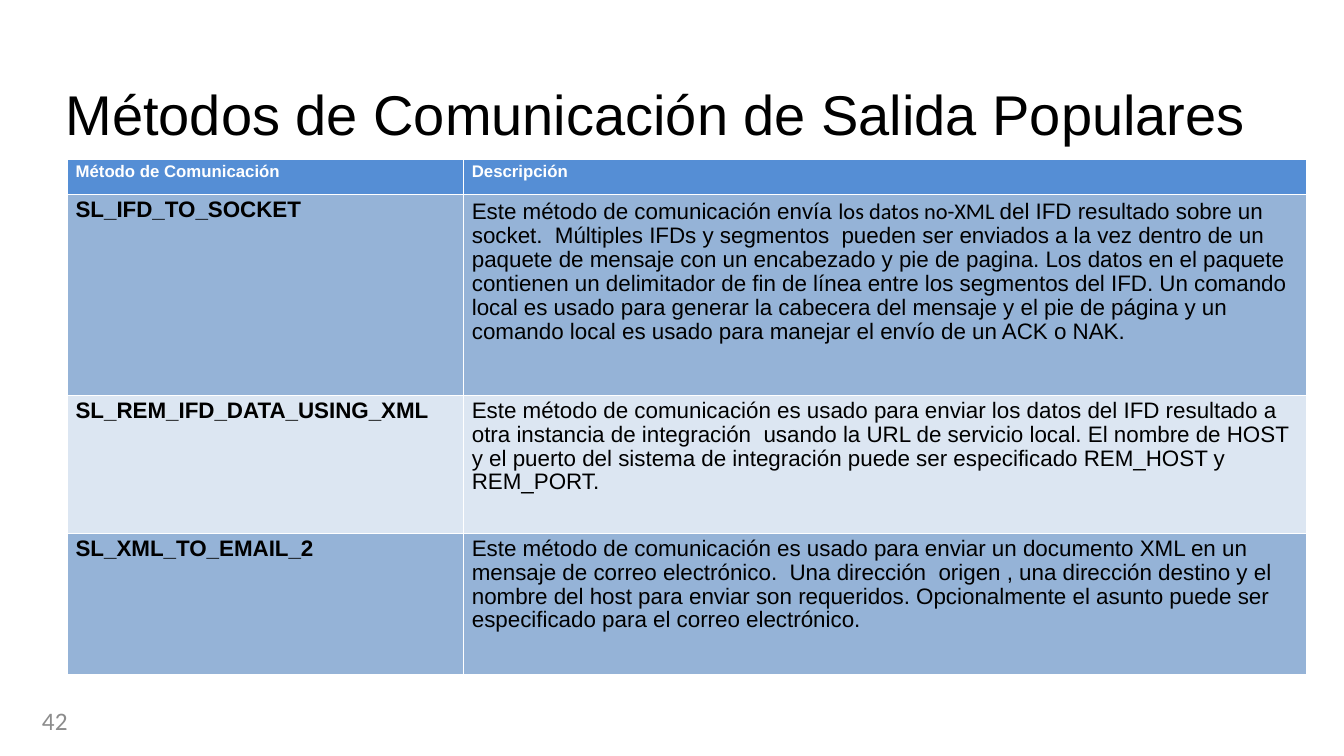
from pptx import Presentation
from pptx.dml.color import RGBColor
from pptx.enum.text import MSO_ANCHOR, PP_ALIGN
from pptx.util import Inches, Pt

BLACK = RGBColor(0x00, 0x00, 0x00)
WHITE = RGBColor(0xFF, 0xFF, 0xFF)
GRAY = RGBColor(0x8C, 0x8C, 0x8C)
HEADER_BLUE = RGBColor(0x55, 0x8E, 0xD5)
BAND_BLUE = RGBColor(0x95, 0xB3, 0xD7)
PALE_BLUE = RGBColor(0xDC, 0xE6, 0xF2)

TITLE = "Métodos de Comunicación de Salida Populares"
HEADERS = ("Método de Comunicación", "Descripción")
CALIBRI_PHRASE = "los datos no-XML "
METHODS = [
    ("SL_IFD_TO_SOCKET",
     ("Este método de comunicación envía ",
      CALIBRI_PHRASE,
      "del IFD resultado sobre un socket.  Múltiples IFDs y segmentos  pueden ser "
      "enviados a la vez dentro de un paquete de mensaje con un encabezado y pie de "
      "pagina. Los datos en el paquete contienen un delimitador de fin de línea entre "
      "los segmentos del IFD. Un comando local es usado para generar la cabecera del "
      "mensaje y el pie de página y un comando local es usado para manejar el envío de "
      "un ACK o NAK.")),
    ("SL_REM_IFD_DATA_USING_XML",
     ("Este método de comunicación es usado para enviar los datos del IFD resultado a "
      "otra instancia de integración  usando la URL de servicio local. El nombre de HOST "
      "y el puerto del sistema de integración puede ser especificado REM_HOST y "
      "REM_PORT.",)),
    ("SL_XML_TO_EMAIL_2",
     ("Este método de comunicación es usado para enviar un documento XML en un mensaje "
      "de correo electrónico.  Una dirección  origen , una dirección destino y el "
      "nombre del host para enviar son requeridos. Opcionalmente el asunto puede ser "
      "especificado para el correo electrónico.",)),
]
COLUMN_WIDTHS = (3.93, 8.36)
ROW_HEIGHTS = (0.35, 1.99, 1.37, 1.4)


class SlideBuilder:
    def __init__(self, slide, font_name="Arial"):
        self.slide = slide
        self.font_name = font_name

    def style_run(self, run, size, color, bold=False, font_name=None):
        run.font.name = font_name or self.font_name
        run.font.size = Pt(size)
        run.font.bold = bold
        run.font.color.rgb = color

    def add_text(self, text, left, top, width, height, size, color,
                 font_name=None, align=PP_ALIGN.LEFT, right_inset=0):
        shape = self.slide.shapes.add_textbox(
            Inches(left), Inches(top), Inches(width), Inches(height))
        text_frame = shape.text_frame
        text_frame.word_wrap = True
        text_frame.vertical_anchor = MSO_ANCHOR.MIDDLE
        text_frame.margin_left = text_frame.margin_top = text_frame.margin_bottom = 0
        text_frame.margin_right = Inches(right_inset)
        text_frame.text = text
        paragraph = text_frame.paragraphs[0]
        paragraph.alignment = align
        self.style_run(paragraph.runs[0], size, color, font_name=font_name)

    def fill_cell(self, cell, parts, fill, size, color, bold):
        cell.fill.solid()
        cell.fill.fore_color.rgb = fill
        cell.margin_left = cell.margin_right = Inches(0.08)
        cell.margin_top = cell.margin_bottom = Inches(0.04)
        paragraph = cell.text_frame.paragraphs[0]
        paragraph.line_spacing = 0.96
        for part in parts:
            run = paragraph.add_run()
            run.text = part
            font_name = "Calibri" if part == CALIBRI_PHRASE else None
            self.style_run(run, size, color, bold, font_name)

    def add_methods_table(self, left, top):
        table = self.slide.shapes.add_table(
            len(ROW_HEIGHTS), len(COLUMN_WIDTHS), Inches(left), Inches(top),
            Inches(sum(COLUMN_WIDTHS)), Inches(sum(ROW_HEIGHTS))).table
        for column, width in zip(table.columns, COLUMN_WIDTHS):
            column.width = Inches(width)
        for row, height in zip(table.rows, ROW_HEIGHTS):
            row.height = Inches(height)
        for column_index, header in enumerate(HEADERS):
            self.fill_cell(table.cell(0, column_index), (header,),
                           HEADER_BLUE, 12, WHITE, True)
        for row_index, (method, description) in enumerate(METHODS, start=1):
            band = BAND_BLUE if row_index % 2 else PALE_BLUE
            self.fill_cell(table.cell(row_index, 0), (method,), band, 16, BLACK, True)
            self.fill_cell(table.cell(row_index, 1), description, band, 16, BLACK, False)


def main():
    presentation = Presentation()
    presentation.slide_width = Inches(13.33)
    presentation.slide_height = Inches(7.5)
    slide = presentation.slides.add_slide(presentation.slide_layouts[6])
    builder = SlideBuilder(slide)
    builder.add_text(TITLE, 0.65, 0.74, 12, 0.77, 40, BLACK, right_inset=0.1)
    builder.add_text("42", 0, 7.02, 0.67, 0.26, 18, GRAY, "Calibri", PP_ALIGN.RIGHT)
    builder.add_methods_table(0.67, 1.58)
    presentation.save("out.pptx")


if __name__ == "__main__":
    main()
